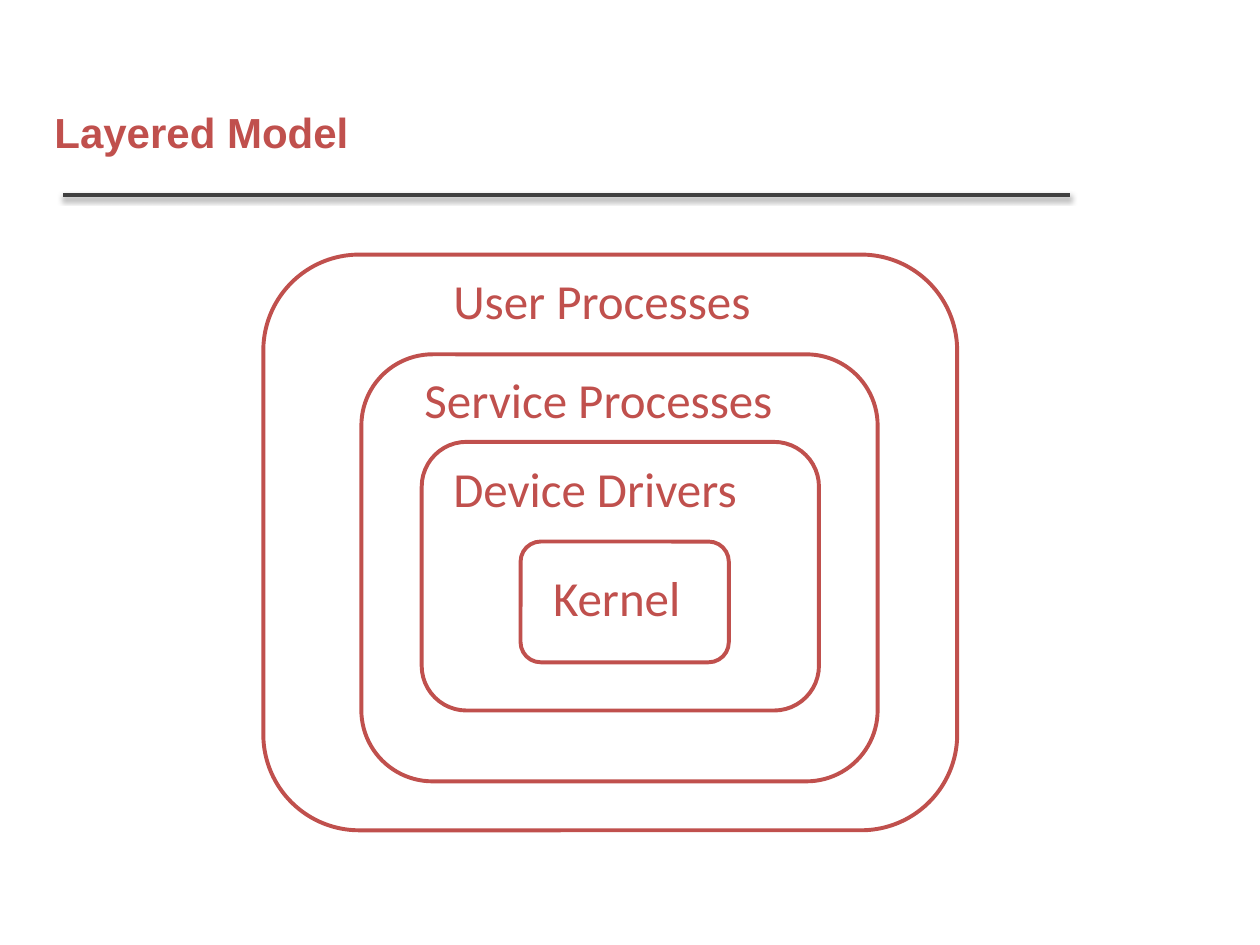
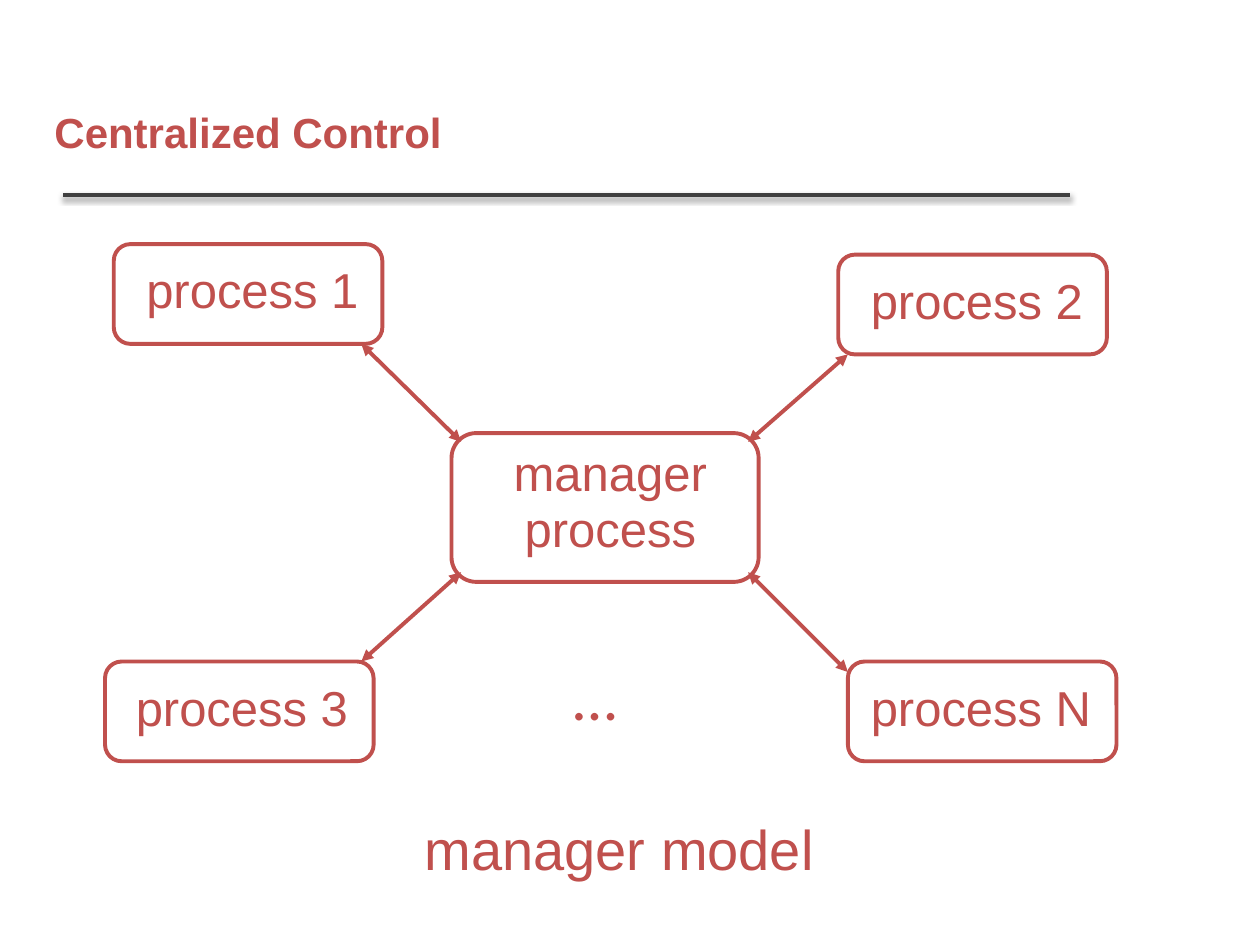
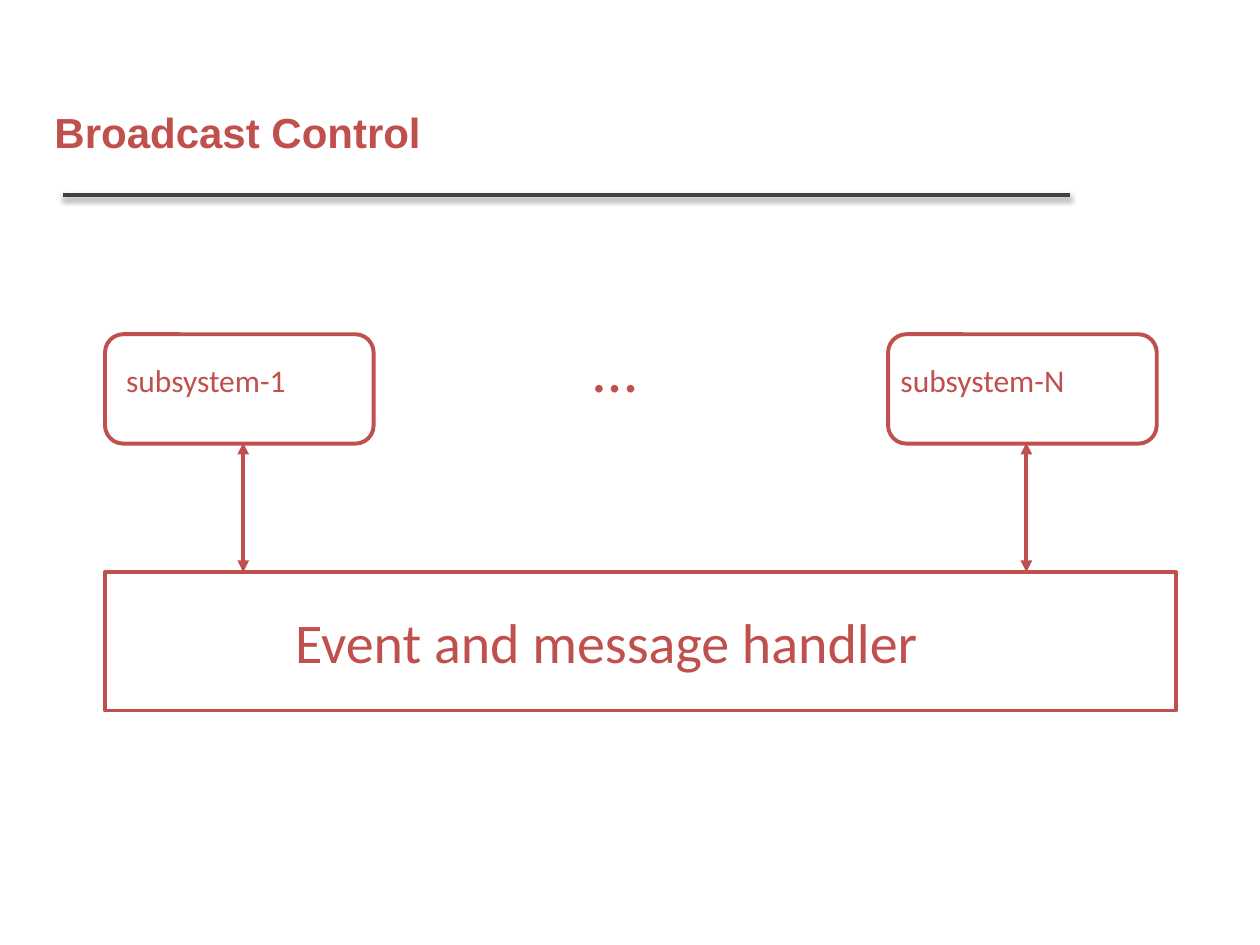
from lxml.etree import SubElement as Sub
from pptx import Presentation
from pptx.dml.color import RGBColor as RGB
from pptx.enum.shapes import MSO_CONNECTOR as Link, MSO_SHAPE as Shape
from pptx.enum.text import MSO_ANCHOR as Anchor, PP_ALIGN as Align
from pptx.oxml.ns import qn
from pptx.util import Pt

COLORS = {"red": "C0504D", "rule": "404040", "shade": "000000"}


class Deck:
    def __init__(self):
        self.prs = Presentation()
        self.prs.slide_width, self.prs.slide_height = Pt(720), Pt(540)
        self.slide = None

    def start(self, title):
        """Add a slide with the shared rule and title."""
        self.slide = self.prs.slides.add_slide(self.prs.slide_layouts[6])
        self.rule()
        self.text(title, 24, 30, 672, 90, size=24, font="Arial",
                  bold=True, anchor=Anchor.MIDDLE)

    def line(self, x1, y1, x2, y2, color="red", width=2.25):
        """Add a line; return it with its empty effect list."""
        link = self.slide.shapes.add_connector(
            Link.STRAIGHT, Pt(x1), Pt(y1), Pt(x2), Pt(y2))
        link.line.color.rgb = RGB.from_string(COLORS[color])
        link.line.width = Pt(width)
        return link, Sub(link._element.spPr, qn("a:effectLst"))

    def rule(self):
        _, effects = self.line(36, 111.5, 611.5, 111.5, "rule", 2)
        shade = Sub(effects, qn("a:outerShdw"), blurRad=str(Pt(3.1)),
                    dist=str(Pt(1.6)), dir="5400000", rotWithShape="0")
        color = Sub(shade, qn("a:srgbClr"), val=COLORS["shade"])
        Sub(color, qn("a:alpha"), val="38000")

    def arrow(self, *ends):
        """Add a line with a head at both ends."""
        link, _ = self.line(*ends)
        for tag in ("a:headEnd", "a:tailEnd"):
            Sub(link.line._get_or_add_ln(), qn(tag), type="triangle")

    def box(self, x, y, w, h, kind=Shape.ROUNDED_RECTANGLE):
        box = self.slide.shapes.add_shape(kind, Pt(x), Pt(y), Pt(w), Pt(h))
        box.shadow.inherit = False
        box.fill.background()
        box.line.color.rgb = RGB.from_string(COLORS["red"])
        box.line.width = Pt(2.25)

    def text(self, words, x, y, w, h, size=28, font="Calibri", bold=False,
             anchor=Anchor.TOP, align=Align.LEFT, pitch=None, gap=0):
        """Add text, one paragraph a line; gap goes between paragraphs."""
        frame = self.slide.shapes.add_textbox(
            Pt(x), Pt(y), Pt(w), Pt(h)).text_frame
        frame.word_wrap = True
        frame.vertical_anchor = anchor
        frame.text = words
        for i, para in enumerate(frame.paragraphs):
            para.alignment = align
            para.line_spacing = pitch
            if i:
                para.space_before = Pt(gap)
            para.font.size, para.font.name = Pt(size), font
            para.font.bold = bold
            para.font.color.rgb = RGB.from_string(COLORS["red"])

    def dots(self, x, y):
        self.text("…", x, y, 50.5, 50.5, size=36)


def layers(deck):
    deck.start("Layered Model")
    for name, box, spot in (
        ("User Processes", (150.5, 145.5, 396.5, 329), (252, 151, 221)),
        ("Service Processes", (206.5, 202.5, 295, 244), (235.5, 207.5, 255)),
        ("Device Drivers", (241, 252.5, 227, 153.5), (252, 258.5, 199)),
        ("Kernel", (297.5, 309.5, 119, 69), (309, 321, 108)),
    ):
        deck.box(*box)
        deck.text(name, *spot, 41)


def central(deck):
    deck.start("Centralized Control")
    deck.box(258, 247.5, 175.5, 85)
    deck.text("manager\nprocess", 275, 264, 147.5, 57.5, font="Arial",
              align=Align.CENTER, pitch=0.5, gap=15)
    for mark, x, y, dx in (("1", 65, 139.5, 11.5), ("2", 479, 145.5, 11.5),
                           ("3", 60, 378, 10.5), ("N", 484.5, 378, 6)):
        deck.box(x, y, 153.5, 57)
        deck.text(f"process {mark}", x + dx, y + 5.5, 147.5, 41, font="Arial")
    for ends in ((206.5, 196.5, 263.5, 252.5), (427.5, 327, 484.5, 384),
                 (206.5, 378, 263.5, 327), (427.5, 252.5, 484.5, 202.5)):
        deck.arrow(*ends)
    deck.text("manager model", 235.5, 462, 250.5, 45.5, size=32, font="Arial")
    deck.dots(320.5, 372)


def broadcast(deck):
    deck.start("Broadcast Control")
    deck.box(60, 327, 612, 79, Shape.RECTANGLE)
    deck.text("Event and message handler", 161.5, 343.5, 414, 45.5, size=32)
    for mark, x, dx in (("1", 60, 5), ("N", 507.5, 0)):
        deck.box(x, 191, 153.5, 62.5)
        deck.text(f"subsystem-{mark}", x + dx, 202.5, 152, 36, size=18)
        deck.arrow(x + 79, 253, x + 79, 327)
    deck.dots(332, 185)


def main():
    deck = Deck()
    for build in (layers, central, broadcast):
        build(deck)
    deck.prs.save("out.pptx")


if __name__ == "__main__":
    main()
